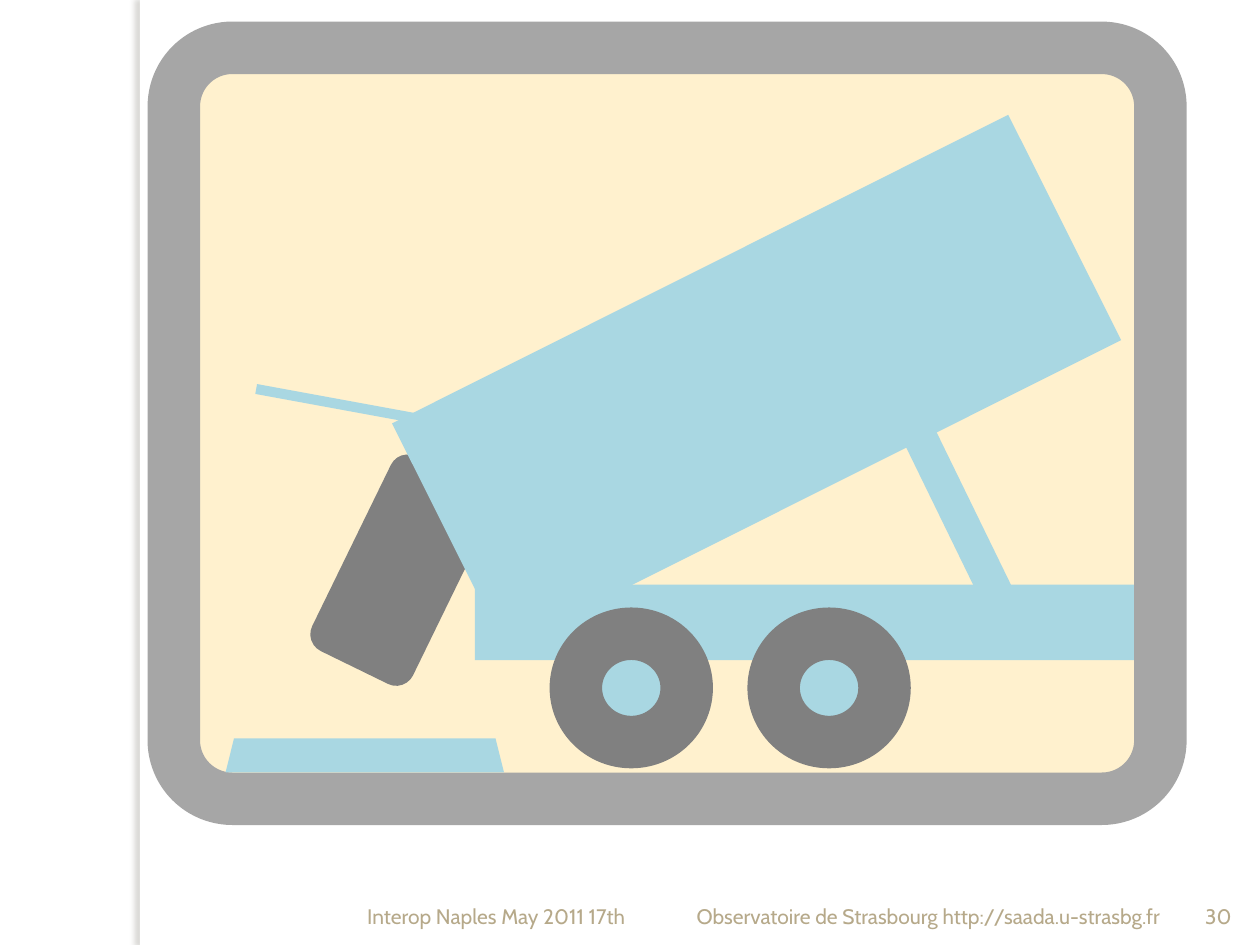
from dataclasses import dataclass

from lxml import etree
from pptx import Presentation
from pptx.dml.color import RGBColor
from pptx.enum.shapes import MSO_SHAPE
from pptx.enum.text import MSO_ANCHOR, PP_ALIGN
from pptx.oxml.ns import qn
from pptx.util import Inches, Pt

RECTANGLE = MSO_SHAPE.RECTANGLE
ROUNDED = MSO_SHAPE.ROUNDED_RECTANGLE
ELLIPSE = MSO_SHAPE.OVAL
TRAPEZOID = MSO_SHAPE.TRAPEZOID
LEFT, CENTER, RIGHT = PP_ALIGN.LEFT, PP_ALIGN.CENTER, PP_ALIGN.RIGHT

COLORS = {
    "white": "FFFFFF",
    "cream": "FFF1CE",
    "frame": "A6A6A6",
    "truck": "A9D7E2",
    "tyre": "808080",
    "footer": "B6A98A",
    "shadow": "736F63",
}
FOOTER_FONT = {"name": "Cabin", "size": Pt(12)}
FOOTER_TOP, FOOTER_HEIGHT = 6.9, 0.52
OUTLINE_WIDTH = Pt(30)


@dataclass
class Part:
    kind: MSO_SHAPE
    left: float
    top: float
    width: float
    height: float
    fill: str
    outline: str | None = None
    rotation: float = 0
    corner: float | None = None


@dataclass
class Footer:
    text: str
    left: float
    width: float
    alignment: PP_ALIGN


def wheel(left: float) -> Part:
    return Part(ELLIPSE, left, 5.03, 0.88, 0.86, "truck", outline="tyre")


SIDE_STRIP = Part(RECTANGLE, 1.11, 0, 0.08, 7.5, "white")
TRUCK_SCENE = [
    Part(ROUNDED, 1.38, 0.38, 7.83, 5.96, "cream", outline="frame", corner=0.078),
    Part(RECTANGLE, 3.77, 4.64, 5.23, 0.6, "truck"),
    Part(RECTANGLE, 7.37, 2.79, 0.27, 2.19, "truck", rotation=334),
    wheel(4.57),
    Part(ROUNDED, 2.33, 4.08, 1.72, 0.89, "tyre", rotation=296),
    wheel(6.14),
    Part(RECTANGLE, 3.27, 2.03, 5.47, 2, "truck", rotation=333.4),
    Part(RECTANGLE, 3.07, 2.19, 0.08, 2.19, "truck", rotation=100.4),
    Part(TRAPEZOID, 1.79, 5.86, 2.21, 0.27, "truck"),
]
FOOTERS = [
    Footer("Interop Naples May 2011 17th ", 2.26, 2.84, RIGHT),
    Footer("Observatoire de Strasbourg http://saada.u-strasbg.fr", 5.43, 3.99, LEFT),
    Footer("30", 9.42, 0.5, CENTER),
]


def color(name: str) -> RGBColor:
    return RGBColor.from_string(COLORS[name])


def draw_part(shapes, part: Part):
    shape = shapes.add_shape(
        part.kind, Inches(part.left), Inches(part.top),
        Inches(part.width), Inches(part.height),
    )
    shape.shadow.inherit = False
    shape.rotation = part.rotation
    shape.fill.solid()
    shape.fill.fore_color.rgb = color(part.fill)
    if part.outline:
        shape.line.color.rgb = color(part.outline)
        shape.line.width = OUTLINE_WIDTH
    else:
        shape.line.fill.background()
    if part.corner is not None:
        shape.adjustments[0] = part.corner
    return shape


def add_left_shadow(shape) -> None:
    """Cast a soft shadow to the left; angles and alpha are in OOXML units."""
    effects = shape._element.spPr.find(qn("a:effectLst"))
    shadow = etree.SubElement(
        effects, qn("a:outerShdw"), blurRad=str(Pt(3)), dist=str(Pt(3)),
        dir="10800000", algn="ctr", rotWithShape="0",
    )
    tint = etree.SubElement(shadow, qn("a:srgbClr"), val=COLORS["shadow"])
    etree.SubElement(tint, qn("a:alpha"), val="25000")


def draw_footer(slide, footer: Footer) -> None:
    box = slide.shapes.add_textbox(
        Inches(footer.left), Inches(FOOTER_TOP),
        Inches(footer.width), Inches(FOOTER_HEIGHT),
    )
    frame = box.text_frame
    frame.word_wrap = True
    frame.vertical_anchor = MSO_ANCHOR.BOTTOM
    paragraph = frame.paragraphs[0]
    paragraph.alignment = footer.alignment
    run = paragraph.add_run()
    run.text = footer.text
    for attribute, value in FOOTER_FONT.items():
        setattr(run.font, attribute, value)
    run.font.color.rgb = color("footer")


def main() -> None:
    presentation = Presentation()
    presentation.slide_width = Inches(10)
    presentation.slide_height = Inches(7.5)
    slide = presentation.slides.add_slide(presentation.slide_layouts[6])

    add_left_shadow(draw_part(slide.shapes, SIDE_STRIP))
    for footer in FOOTERS:
        draw_footer(slide, footer)
    scene = slide.shapes.add_group_shape()
    for part in TRUCK_SCENE:
        draw_part(scene.shapes, part)

    presentation.save("out.pptx")


if __name__ == "__main__":
    main()
